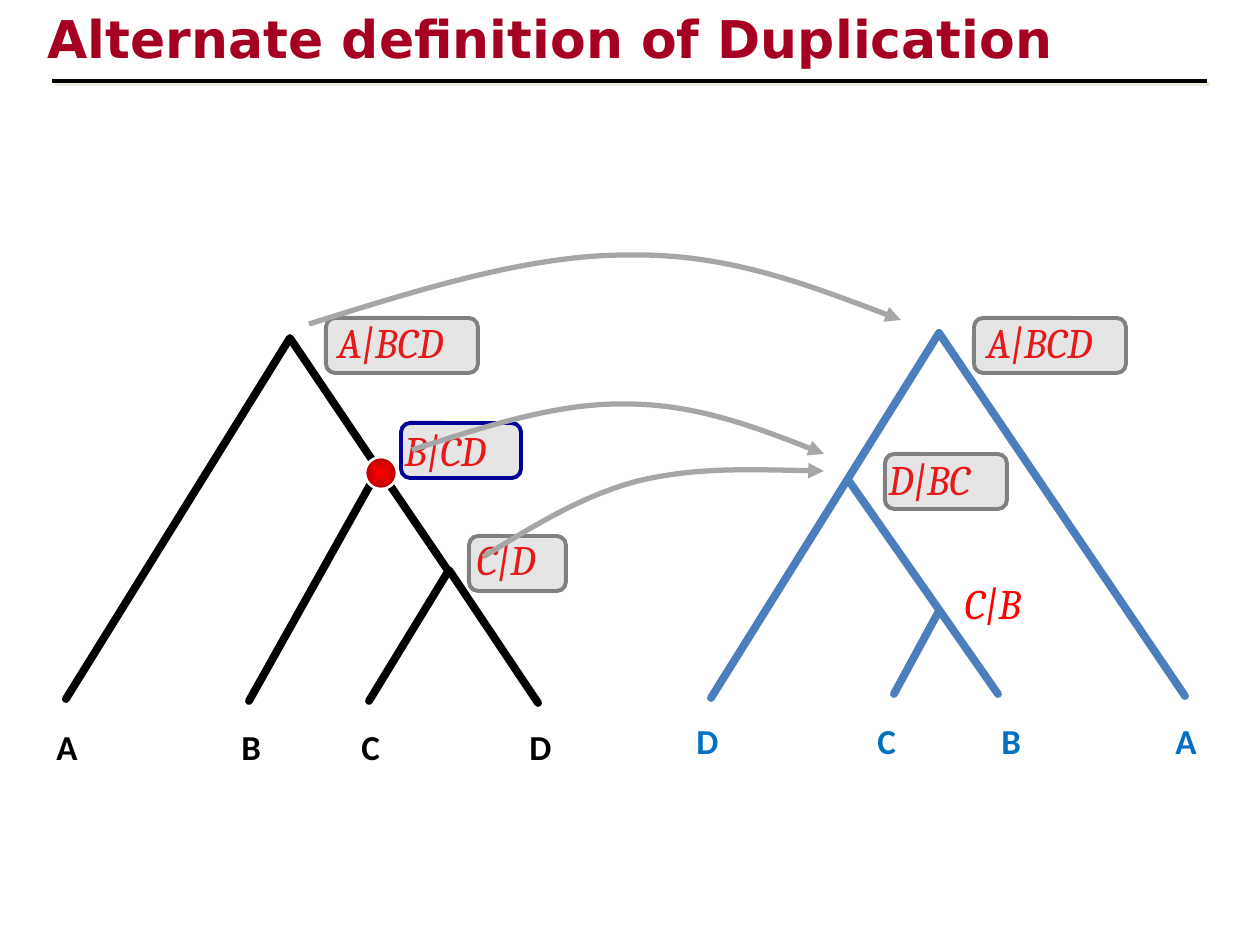
from dataclasses import dataclass

from lxml import etree
from pptx import Presentation
from pptx.dml.color import RGBColor
from pptx.enum.shapes import MSO_CONNECTOR, MSO_SHAPE
from pptx.enum.text import MSO_ANCHOR, PP_ALIGN
from pptx.oxml.ns import qn
from pptx.util import Pt

EMU_PER_PX = 914400 / 126
TITLE_ONLY = 5
STRAIGHT = MSO_CONNECTOR.STRAIGHT
ROUNDED, OVAL = MSO_SHAPE.ROUNDED_RECTANGLE, MSO_SHAPE.OVAL
MIDDLE, LEFT = MSO_ANCHOR.MIDDLE, PP_ALIGN.LEFT


@dataclass(frozen=True)
class Theme:
    title: str = "A50021"
    black: str = "000000"
    white: str = "FFFFFF"
    shadow: str = "EEECE1"
    split: str = "FF0000"
    node_edge: str = "B60000"
    species_tree: str = "4B7EBC"
    species_leaf: str = "0070C0"
    box: str = "808080"
    marked_box: str = "000099"
    arrow: str = "A6A6A6"
    title_font: str = "DejaVu Sans"
    leaf_font: str = "Calibri"
    split_font: str = "Cambria"
    title_size: float = 29.7
    leaf_size: float = 20
    split_size: float = 24
    tree_width: float = 4.5


def px(value):
    return round(value * EMU_PER_PX)


def add_xml(parent, tag, **attributes):
    return etree.SubElement(parent, qn(tag), attributes)


class SlideBuilder:
    def __init__(self, slide, theme):
        self.slide, self.theme = slide, theme
        self.shapes = slide.shapes

    def soft_shadow(self, properties):
        effects = add_xml(properties, "a:effectLst")
        shadow = add_xml(effects, "a:outerShdw", dist="35921", dir="2700000",
                         algn="ctr", rotWithShape="0")
        add_xml(shadow, "a:srgbClr", val=self.theme.shadow)

    def style_font(self, paragraph, name, size, color, bold=False, italic=False):
        font = paragraph.font
        font.name, font.size = name, Pt(size)
        font.bold, font.italic = bold, italic
        font.color.rgb = RGBColor.from_string(color)

    def style_line(self, shape, color, width, rounded=False, arrow=False):
        shape.line.color.rgb = RGBColor.from_string(color)
        shape.line.width = Pt(width)
        line = shape._element.spPr.find(qn("a:ln"))
        if rounded:
            line.set("cap", "rnd")
            add_xml(line, "a:round")
        if arrow:
            add_xml(line, "a:tailEnd", type="triangle")

    def title(self, text, left, top, width, height):
        shape = self.shapes.title
        shape.left, shape.top = px(left), px(top)
        shape.width, shape.height = px(width), px(height)
        frame = shape.text_frame
        frame.text, frame.vertical_anchor, frame.word_wrap = text, MIDDLE, True
        paragraph = frame.paragraphs[0]
        paragraph.alignment = LEFT
        theme = self.theme
        self.style_font(paragraph, theme.title_font, theme.title_size, theme.title, bold=True)
        self.soft_shadow(paragraph.runs[0]._r.get_or_add_rPr())

    def text(self, text, left, top, width, height, **font):
        box = self.shapes.add_textbox(px(left), px(top), px(width), px(height))
        box.text_frame.word_wrap = True
        paragraph = box.text_frame.paragraphs[0]
        paragraph.text = text
        self.style_font(paragraph, **font)

    def leaf(self, text, left, top, color):
        self.text(text, left, top, 43, 55, name=self.theme.leaf_font,
                  size=self.theme.leaf_size, color=color, bold=True)

    def split(self, text, left, top):
        self.text(text, left, top, 171, 63, name=self.theme.split_font,
                  size=self.theme.split_size, color=self.theme.split, italic=True)

    def line(self, start, end, color, width, rounded=False, shadow=False):
        connector = self.shapes.add_connector(STRAIGHT, *map(px, start + end))
        self.style_line(connector, color, width, rounded)
        if shadow:
            self.soft_shadow(connector._element.spPr)
        else:
            add_xml(connector._element.spPr, "a:effectLst")

    def outline(self, points):
        start, *others = [(px(x), px(y)) for x, y in points]
        builder = self.shapes.build_freeform(*start)
        builder.add_line_segments(others, close=False)
        shape = builder.convert_to_shape()
        shape.fill.background()
        shape.shadow.inherit = False
        return shape

    def branch(self, points):
        self.style_line(self.outline(points), self.theme.black,
                        self.theme.tree_width, rounded=True)

    def curved_arrow(self, points):
        shape = self.outline(points)
        # Every three points after the start make one cubic curve
        segments = list(shape._element.iter(qn("a:lnTo")))
        for first in range(0, len(segments), 3):
            curve = etree.Element(qn("a:cubicBezTo"))
            segments[first].addprevious(curve)
            for segment in segments[first:first + 3]:
                curve.append(segment[0])
                segment.getparent().remove(segment)
        self.style_line(shape, self.theme.arrow, 3, arrow=True)

    def highlight(self, left, top, width, color):
        shape = self.shapes.add_shape(ROUNDED, px(left), px(top), px(width), px(55))
        shape.shadow.inherit = False
        shape.fill.solid()
        shape.fill.fore_color.rgb = RGBColor.from_string(self.theme.box)
        fill_color = shape._element.spPr.find(qn("a:solidFill"))[0]
        add_xml(fill_color, "a:alpha", val="20000")
        self.style_line(shape, color, 2.25)

    def node(self, left, top, size):
        shape = self.shapes.add_shape(OVAL, px(left), px(top), px(size), px(size))
        shape.shadow.inherit = False
        shape.fill.gradient()
        colors = (self.theme.split, self.theme.node_edge)
        for stop, color, position in zip(shape.fill.gradient_stops, colors, (0, 1)):
            stop.color.rgb = RGBColor.from_string(color)
            stop.position = position
        gradient = shape._element.spPr.find(qn("a:gradFill"))
        gradient.remove(gradient.find(qn("a:lin")))
        radial = add_xml(gradient, "a:path", path="shape")
        add_xml(radial, "a:fillToRect", l="50000", t="50000", r="50000", b="50000")
        self.style_line(shape, self.theme.white, 1.5)


def main():
    presentation = Presentation()
    presentation.slide_width, presentation.slide_height = px(1260), px(945)
    theme = Theme()
    slide = presentation.slides.add_slide(presentation.slide_layouts[TITLE_ONLY])
    builder = SlideBuilder(slide, theme)

    # Title and rule
    builder.title("Alternate definition of Duplication", 35, -4, 1131, 84)
    builder.line((52, 81), (1207, 81), theme.black, 2.25, shadow=True)

    # Gene tree on the left
    for points in ([(538, 703), (449, 570), (369, 701)],
                   [(449, 572), (379, 469), (249, 701)],
                   [(379, 470), (290, 338), (66, 699)]):
        builder.branch(points)
    for name, left in (("A", 44), ("B", 229), ("C", 349), ("D", 517)):
        builder.leaf(name, left, 719, theme.black)
    for name, left, top in (("B|CD", 392, 418), ("C|D", 464, 527), ("A|BCD", 325, 310)):
        builder.split(name, left, top)

    # Species tree on the right
    root = (939, 333)
    for start, end in (((711, 698), root), (root, (1185, 696)),
                       ((849, 481), (998, 694)), ((939, 611), (894, 694))):
        builder.line(start, end, theme.species_tree, theme.tree_width, rounded=True)
    for name, left in (("D", 684), ("C", 865), ("B", 989), ("A", 1163)):
        builder.leaf(name, left, 713, theme.species_leaf)
    for name, left, top in (("C|B", 952, 571), ("D|BC", 876, 447), ("A|BCD", 974, 310)):
        builder.split(name, left, top)

    # Translucent boxes over the splits
    for left, top, width, color in ((469, 536, 97, theme.box), (326, 318, 152, theme.box),
                                    (974, 318, 152, theme.box),
                                    (401, 423, 120, theme.marked_box),
                                    (885, 454, 122, theme.box)):
        builder.highlight(left, top, width, color)

    # Mapping arrows between the trees
    for points in (
        [(483, 557), (532, 527), (581, 496), (638, 481), (696, 467), (760, 470), (824, 471)],
        [(412, 450), (484, 427), (556, 403), (625, 404), (693, 404), (759, 428), (824, 454)],
        [(309, 324), (418, 290), (528, 255), (627, 255), (726, 253), (814, 287), (901, 320)],
    ):
        builder.curved_arrow(points)

    # Duplication node
    builder.node(365, 457, 32)

    presentation.save("out.pptx")


if __name__ == "__main__":
    main()
